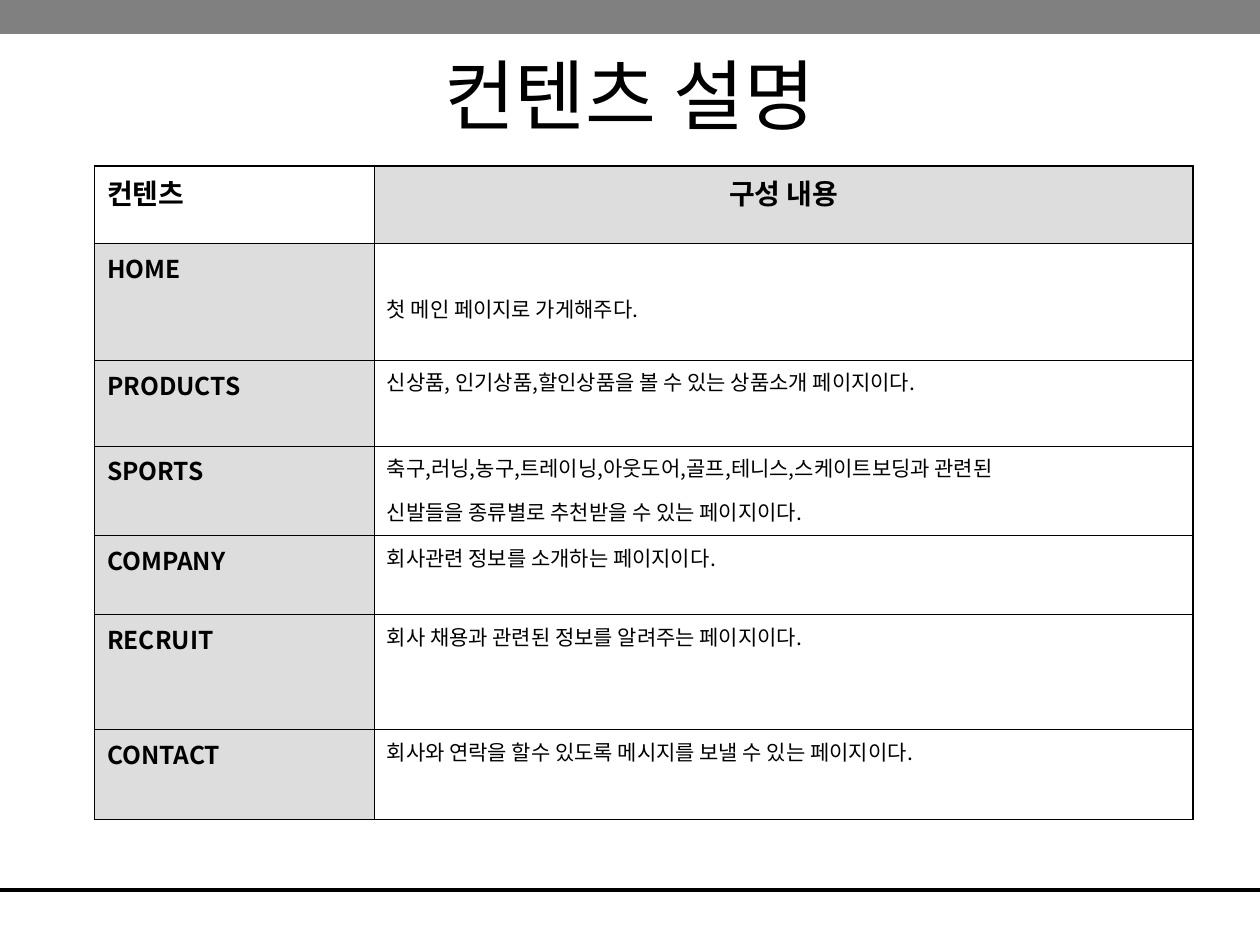
"""Build the slide that describes the contents of a shop site in a table."""
from dataclasses import dataclass

import lxml.etree
import pptx
import pptx.dml.color
import pptx.enum.shapes
import pptx.enum.text
import pptx.oxml.ns
import pptx.util

Inches = pptx.util.Inches
Pt = pptx.util.Pt
qn = pptx.oxml.ns.qn
ALIGN = pptx.enum.text.PP_ALIGN

FONT = "Noto Sans CJK KR"
COLORS = {"ink": "000000", "band": "808080", "label": "DDDDDD"}
THICK, THIN = 1.08, 0.45


@dataclass
class Row:
    label: str
    text: str
    height: float
    top: float = 0.05


@dataclass
class Style:
    size: float
    bold: bool = False
    before: float = 0
    align: ALIGN = ALIGN.LEFT


TITLE = Style(44, align=ALIGN.CENTER)
HEAD_LEFT = Style(16, True, 4)
HEAD_RIGHT = Style(16, True, 4, ALIGN.CENTER)
LABEL = Style(14, True, 3.5)
BODY = Style(12, before=7.5)

COLUMNS = (2.22, 6.5)
ROWS = [
    Row("컨텐츠", "구성 내용", 0.61),
    Row("HOME", "첫 메인 페이지로 가게해주다.", 0.93, top=0.4),
    Row("PRODUCTS", "신상품, 인기상품,할인상품을 볼 수 있는 상품소개 페이지이다.", 0.68),
    Row("SPORTS", "축구,러닝,농구,트레이닝,아웃도어,골프,테니스,스케이트보딩과 관련된\n"
        "신발들을 종류별로 추천받을 수 있는 페이지이다.", 0.71),
    Row("COMPANY", "회사관련 정보를 소개하는 페이지이다.", 0.63),
    Row("RECRUIT", "회사 채용과 관련된 정보를 알려주는 페이지이다.", 0.91),
    Row("CONTACT", "회사와 연락을 할수 있도록 메시지를 보낼 수 있는 페이지이다.", 0.71),
]


def rgb(name: str) -> pptx.dml.color.RGBColor:
    return pptx.dml.color.RGBColor.from_string(COLORS[name])


def write(tf, text: str, style: Style) -> None:
    tf.text = text
    for p in tf.paragraphs:
        p.alignment = style.align
        p.space_before = Pt(style.before)
        for r in p.runs:
            r.font.size = Pt(style.size)
            r.font.bold = style.bold
            r.font.name = FONT
            r.font.color.rgb = rgb("ink")
            ea = lxml.etree.Element(qn("a:ea"), typeface=FONT)
            r.font._element.find(qn("a:latin")).addnext(ea)


def set_borders(cell, widths: dict[str, float]) -> None:
    tc_pr = cell._tc.get_or_add_tcPr()
    for i, (side, width) in enumerate(widths.items()):
        ln = lxml.etree.Element(qn(f"a:ln{side}"), w=str(Pt(width)))
        fill = lxml.etree.SubElement(ln, qn("a:solidFill"))
        lxml.etree.SubElement(fill, qn("a:srgbClr"), val=COLORS["ink"])
        tc_pr.insert(i, ln)


def add_frame(s) -> None:
    line = s.shapes.add_connector(
        pptx.enum.shapes.MSO_CONNECTOR.STRAIGHT,
        Inches(0), Inches(7.06), Inches(10), Inches(7.06))
    line.line.color.rgb = rgb("ink")
    line.line.width = Pt(2.25)
    lxml.etree.SubElement(line._element.spPr, qn("a:effectLst"))
    band = s.shapes.add_shape(
        pptx.enum.shapes.MSO_SHAPE.RECTANGLE,
        Inches(0), Inches(0), Inches(10.01), Inches(0.27))
    band.shadow.inherit = False
    band.fill.solid()
    band.fill.fore_color.rgb = rgb("band")
    band.line.fill.background()


def add_title(s, text: str) -> None:
    sp = s.shapes.title
    sp.left, sp.top = Inches(0.75), Inches(0.33)
    sp.width, sp.height = Inches(8.5), Inches(1.25)
    tf = sp.text_frame
    tf.vertical_anchor = pptx.enum.text.MSO_ANCHOR.TOP
    write(tf, text, TITLE)


def add_contents_table(s, rows: list[Row]) -> None:
    table = s.shapes.add_table(
        len(rows), len(COLUMNS), Inches(0.75), Inches(1.32),
        Inches(sum(COLUMNS)), Inches(sum(row.height for row in rows))).table
    table.first_row = table.horz_banding = False
    for column, width in zip(table.columns, COLUMNS):
        column.width = Inches(width)
    for i, row in enumerate(rows):
        table.rows[i].height = Inches(row.height)
        styles = (LABEL, BODY) if i else (HEAD_LEFT, HEAD_RIGHT)
        for j, text in enumerate((row.label, row.text)):
            cell = table.cell(i, j)
            write(cell.text_frame, text, styles[j])
            if (i == 0) == (j == 1):
                cell.fill.solid()
                cell.fill.fore_color.rgb = rgb("label")
            else:
                cell.fill.background()
            set_borders(cell, {
                "L": THIN if j else THICK, "R": THICK if j else THIN,
                "T": THIN if i else THICK, "B": THIN})
        table.cell(i, 1).margin_top = Inches(row.top)


def main() -> None:
    prs = pptx.Presentation()
    prs.slide_width, prs.slide_height = Inches(10), Inches(7.5)
    s = prs.slides.add_slide(prs.slide_layouts.get_by_name("Title Only"))
    add_frame(s)
    add_title(s, "컨텐츠 설명")
    add_contents_table(s, ROWS)
    prs.save("out.pptx")


if __name__ == "__main__":
    main()
